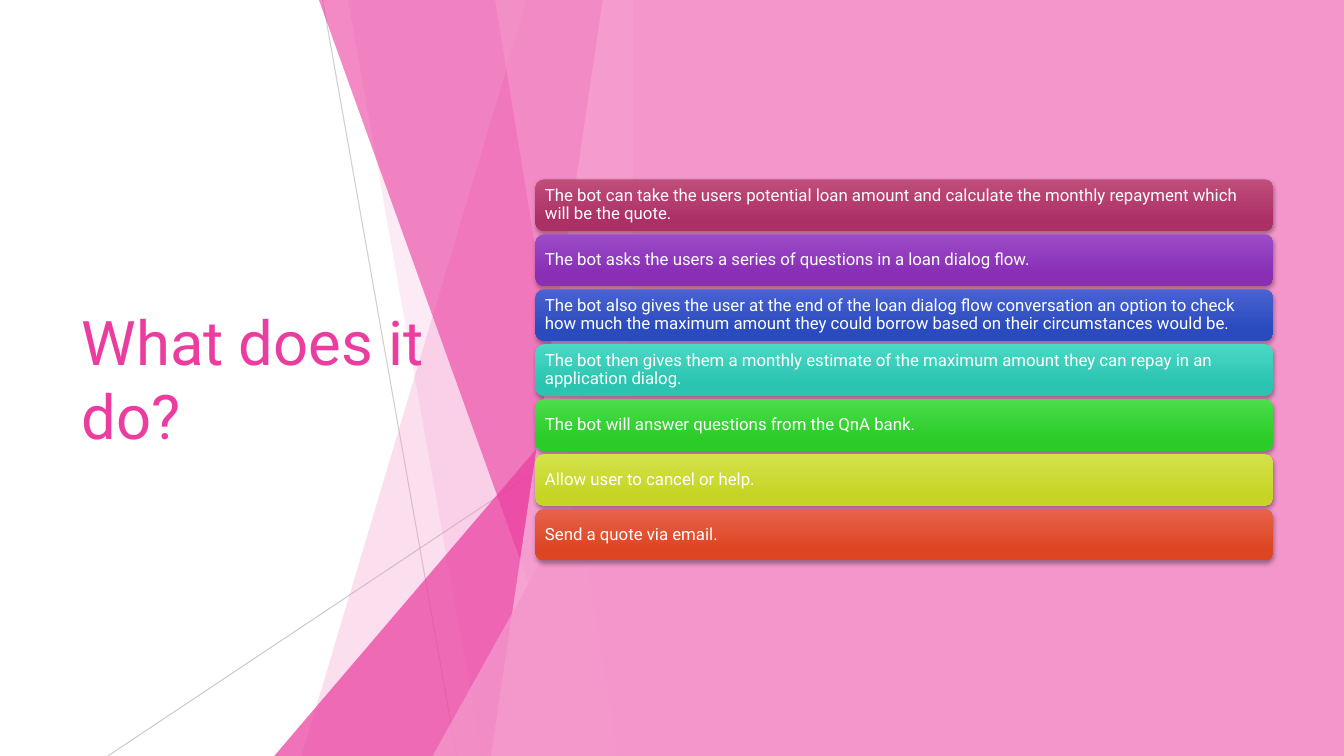
from lxml import etree
from pptx import Presentation
from pptx import util as u
from pptx.dml.color import RGBColor
from pptx.enum import shapes, text
from pptx.oxml.ns import qn

# Content
TITLE = "What does it do?"
CARDS = [  # text, gradient top, gradient bottom
    ("The bot can take the users potential loan amount and calculate the monthly "
     "repayment which will be the quote.", "BF4E79", "AC3066"),
    ("The bot asks the users a series of questions in a loan dialog flow.", "9B4CC8", "892EB5"),
    ("The bot also gives the user at the end of the loan dialog flow conversation an option "
     "to check how much the maximum amount they could borrow based on their circumstances "
     "would be.", "4A62D2", "2A4BBE"),
    ("The bot then gives them a monthly estimate of the maximum amount they can repay in an "
     "application dialog.", "4AD8C5", "2AC4B1"),
    ("The bot will answer questions from the QnA bank.", "4CDD4B", "2BCC28"),
    ("Allow user to cancel or help.", "D4E24B", "C6D525"),
    ("Send a quote via email.", "E7634C", "DE4522"),
]
COLORS = {"pink": "EB3D9F", "light": "F496CB", "pale": "F8C0E0",
          "gray": "BFBFBF", "white": "FFFFFF", "black": "000000"}
FONT = "Roboto"

# Geometry in inches
WIDTH, HEIGHT = 13.33, 7.5
PANEL_LEFT = 6.28
BAND_TOP = -0.01
RAYS = [((3.2, 0), (4.53, HEIGHT), 75), ((PANEL_LEFT, 4.03), (1.07, HEIGHT), 80)]
FACETS = [  # band: left edge at top and bottom; triangle: left and top; colour; opacity
    ("band", 5.23, 2.99, "light", 30),
    ("band", 3.45, 4.78, "light", 20),
    ("triangle", 2.72, 3.33, "pink", 72),
    ("band", 3.16, 5.86, "pink", 60),
    ("band", 5.98, 4.87, "pale", 70),
    ("band", 4.91, 6.13, "light", 65),
    ("triangle", 4.29, 3.93, "light", 80),
]
CARD_LEFT, CARD_TOP, CARD_WIDTH, CARD_HEIGHT, CARD_STEP = 5.31, 1.78, 7.32, 0.51, 0.545

presentation = Presentation()
presentation.slide_width, presentation.slide_height = u.Inches(WIDTH), u.Inches(HEIGHT)
slide = presentation.slides.add_slide(presentation.slide_layouts[6])


def color(name):
    return RGBColor.from_string(COLORS[name])


def set_opacity(element, percent):
    for tint in element.iter(qn("a:srgbClr")):
        etree.SubElement(tint, qn("a:alpha"), val=str(percent * 1000))


def add_preset(kind, left, top, width, height):
    shape = slide.shapes.add_shape(kind, *map(u.Inches, (left, top, width, height)))
    shape.shadow.inherit = False
    shape.line.fill.background()
    return shape


def paint(shape, name, opacity=100):
    shape.shadow.inherit = False
    shape.line.fill.background()
    shape.fill.solid()
    shape.fill.fore_color.rgb = color(name)
    if opacity < 100:
        set_opacity(shape._element.spPr, opacity)


def write(shape, wording, size, name, inset):
    frame = shape.text_frame
    frame.word_wrap = True
    frame.vertical_anchor = text.MSO_ANCHOR.MIDDLE
    frame.margin_left = frame.margin_right = u.Inches(inset)
    frame.margin_top = frame.margin_bottom = u.Inches(0.05)
    paragraph = frame.paragraphs[0]
    paragraph.alignment = text.PP_ALIGN.LEFT
    run = paragraph.add_run()
    run.text = wording
    run.font.name, run.font.size = FONT, u.Pt(size)
    run.font.color.rgb = color(name)
    return paragraph


def add_shadow(shape):
    effects = shape._element.spPr.find(qn("a:effectLst"))
    outer = etree.SubElement(effects, qn("a:outerShdw"), blurRad=str(u.Pt(3)),
                             dist=str(u.Pt(2)), dir="5400000", rotWithShape="0")
    etree.SubElement(outer, qn("a:srgbClr"), val=COLORS["black"])
    set_opacity(outer, 35)


# Thin rays
for start, end, opacity in RAYS:
    ray = slide.shapes.add_connector(shapes.MSO_CONNECTOR.STRAIGHT,
                                     *map(u.Inches, start + end))
    ray.line.color.rgb = color("gray")
    ray.line.width = u.Pt(0.75)
    set_opacity(ray._element.spPr, opacity)
    etree.SubElement(ray._element.spPr, qn("a:effectLst"))

# Translucent facets, all ending at the panel's left edge
for kind, first, second, name, opacity in FACETS:
    if kind == "triangle":
        facet = add_preset(shapes.MSO_SHAPE.ISOSCELES_TRIANGLE, first, second,
                           PANEL_LEFT - first, HEIGHT - second)
        facet.adjustments[0] = 1
    else:
        corners = [(PANEL_LEFT, BAND_TOP), (PANEL_LEFT, HEIGHT), (second, HEIGHT)]
        builder = slide.shapes.build_freeform(u.Inches(first), u.Inches(BAND_TOP))
        builder.add_line_segments([(u.Inches(x), u.Inches(y)) for x, y in corners])
        facet = builder.convert_to_shape()
    paint(facet, name, opacity)

# Title
title = slide.shapes.add_textbox(*map(u.Inches, (0.71, 1.51, 3.88, 4.48)))
write(title, TITLE, 44, "pink", 0.1)

# Right panel
panel = add_preset(shapes.MSO_SHAPE.RECTANGLE, PANEL_LEFT, 0, WIDTH - PANEL_LEFT, HEIGHT)
paint(panel, "light")

# Cards
for index, (wording, *gradient) in enumerate(CARDS):
    card = add_preset(shapes.MSO_SHAPE.ROUNDED_RECTANGLE, CARD_LEFT,
                      CARD_TOP + index * CARD_STEP, CARD_WIDTH, CARD_HEIGHT)
    card.fill.gradient()
    card.fill.gradient_angle = 270
    for stop, position, shade in zip(card.fill.gradient_stops, (0, 0.78), gradient):
        stop.position = position
        stop.color.rgb = RGBColor.from_string(shade)
    add_shadow(card)
    write(card, wording, 12, "white", 0.07).line_spacing = 0.9

presentation.save("out.pptx")
